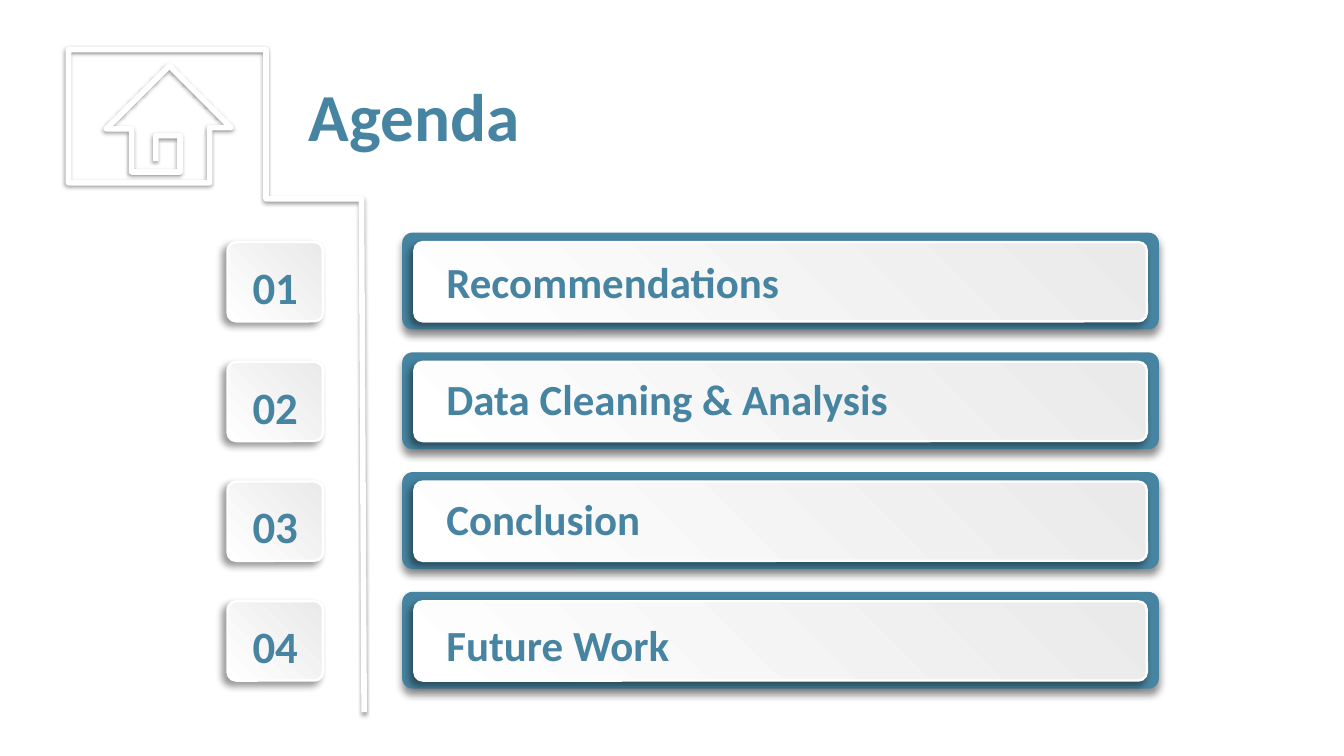
from collections import namedtuple

from lxml.etree import SubElement
from pptx import Presentation
from pptx.dml.color import RGBColor
from pptx.enum.shapes import MSO_SHAPE
from pptx.enum.text import MSO_ANCHOR, PP_ALIGN
from pptx.oxml.ns import qn
from pptx.util import Inches, Pt

COLORS = {"teal": "4784A1", "white": "FFFFFF", "silver": "EAEAEA", "black": "000000"}
COLUMNS, ROWS = 100, 56.25
CELL = Inches(0.1)
ROW_PITCH = 8.91
CORNER = 0.107

Box = namedtuple("Box", "left top width height")

AGENDA = [
    ("Recommendations", Box(2.3, 0.7, 52.3, 5.9)),
    ("Data Cleaning & Analysis", Box(2.3, 0.3, 52.3, 6.3)),
    ("Conclusion", Box(2.3, 0.3, 52.3, 6.3)),
    ("Future Work", Box(2.3, 0.3, 52.3, 7.2)),
]

HOUSE_ROUTE = [
    (6.5, 8.3), (6.5, 6.4), (8.3, 6.4), (8.3, 9.1), (4.7, 9.1), (4.7, 5.9),
    (2.8, 5.9), (7.5, 1.2), (12.1, 5.8), (10.5, 5.8), (10.5, 9.9), (0, 9.9),
    (0, 0), (14.7, 0), (14.7, 11.1), (21.8, 11.1), (22, 49.3),
]


def color(name):
    return RGBColor.from_string(COLORS[name])


def cells(count):
    return round(count * CELL)


def within(box, part):
    return Box(box.left + part.left, box.top + part.top, part.width, part.height)


def add_shadow(shape, opacity, blur, distance, angle):
    shape.shadow.inherit = False
    effects = shape._element.spPr.find(qn("a:effectLst"))
    shadow = SubElement(effects, qn("a:outerShdw"), blurRad=str(Pt(blur)),
                        dist=str(Pt(distance)), dir=str(angle * 60000),
                        algn="ctr", rotWithShape="0")
    tint = SubElement(shadow, qn("a:srgbClr"), val=COLORS["black"])
    SubElement(tint, qn("a:alpha"), val=str(opacity * 1000))


def add_text(slide, box, text, size=24, font="Calibri", fill="teal",
             bold=True, align=PP_ALIGN.LEFT):
    label = slide.shapes.add_textbox(*map(cells, box))
    frame = label.text_frame
    frame.word_wrap = True
    frame.vertical_anchor = MSO_ANCHOR.MIDDLE
    paragraph = frame.paragraphs[0]
    paragraph.alignment = align
    run = paragraph.add_run()
    run.text = text
    run.font.size = Pt(size)
    run.font.name = font
    run.font.bold = bold
    run.font.color.rgb = color(fill)


def add_panel(slide, box):
    panel = slide.shapes.add_shape(MSO_SHAPE.ROUNDED_RECTANGLE, *map(cells, box))
    panel.adjustments[0] = CORNER
    return panel


def add_backing(slide, box):
    backing = add_panel(slide, box)
    backing.fill.solid()
    backing.fill.fore_color.rgb = color("teal")
    backing.line.fill.background()
    add_shadow(backing, opacity=43, blur=4, distance=3, angle=90)


def add_tile(slide, box):
    tile = add_panel(slide, box)
    tile.fill.gradient()
    tile.fill.gradient_angle = 225
    for stop, name in zip(tile.fill.gradient_stops, ("silver", "white")):
        stop.color.rgb = color(name)
    tile.line.color.rgb = color("white")
    tile.line.width = Pt(1.25)
    add_shadow(tile, opacity=40, blur=4, distance=3, angle=135)


def add_house_line(slide, box):
    route = [(cells(box.left + x), cells(box.top + y)) for x, y in HOUSE_ROUTE]
    builder = slide.shapes.build_freeform(*route[0])
    builder.add_line_segments(route[1:], close=False)
    house = builder.convert_to_shape()
    house.fill.background()
    house.line.color.rgb = color("white")
    house.line.width = Pt(3)
    add_shadow(house, opacity=40, blur=2, distance=1, angle=135)


def add_number(slide, box, number):
    add_tile(slide, box)
    add_text(slide, within(box, Box(0.2, 0.8, 6.7, 5)), f"{number:02}",
             align=PP_ALIGN.CENTER)


def add_topic(slide, box, topic, topic_area):
    add_backing(slide, box)
    add_tile(slide, within(box, Box(0.9, 0.7, 54.5, 5.9)))
    add_text(slide, within(box, topic_area), topic, size=23)


def add_agenda(slide, box):
    for index, (topic, topic_area) in enumerate(AGENDA):
        top = index * ROW_PITCH
        add_number(slide, within(box, Box(0, top + 0.7, 7.1, 5.9)), index + 1)
        add_topic(slide, within(box, Box(13, top, 56.3, 7.2)), topic, topic_area)


def main():
    deck = Presentation()
    deck.slide_width = cells(COLUMNS)
    deck.slide_height = cells(ROWS)
    slide = deck.slides.add_slide(deck.slide_layouts[6])
    add_house_line(slide, Box(5.1, 3.7, 22, 49.3))
    add_text(slide, Box(22, 5.4, 75.2, 6.3), "Agenda", size=36)
    add_agenda(slide, Box(16.93, 17.31, 69.3, 33.93))
    deck.save("out.pptx")


if __name__ == "__main__":
    main()
